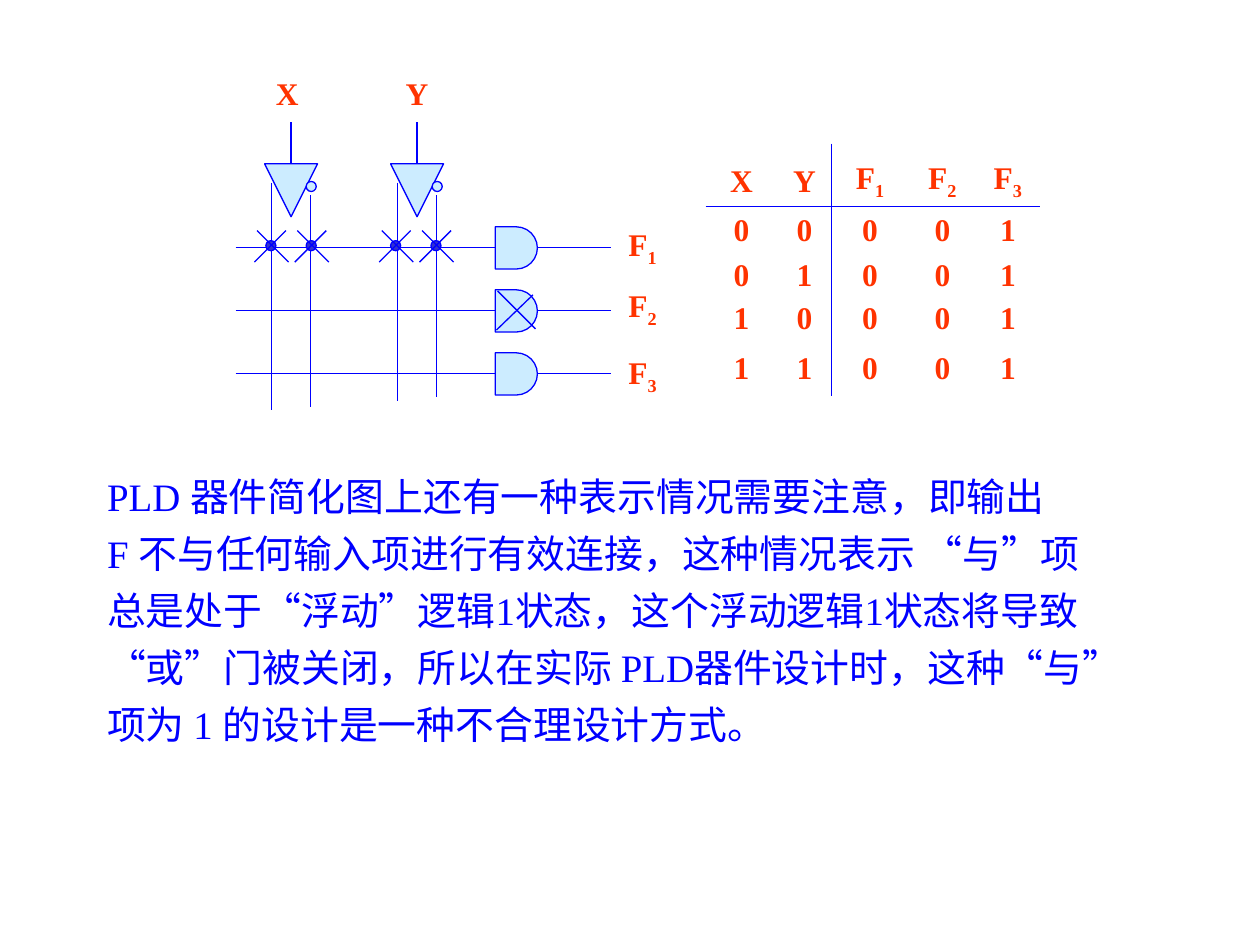
from dataclasses import dataclass

import pptx
import pptx.dml.color
import pptx.enum.shapes
import pptx.enum.text
import pptx.oxml.ns
import pptx.util
from lxml import etree

BLUE = pptx.dml.color.RGBColor(0x00, 0x00, 0xFF)
PALE_BLUE = pptx.dml.color.RGBColor(0xCC, 0xEC, 0xFF)
FUSE_BLUE = pptx.dml.color.RGBColor(0x33, 0x33, 0xCC)
RED = pptx.dml.color.RGBColor(0xFF, 0x33, 0x00)
SHAPE = pptx.enum.shapes.MSO_SHAPE
CENTER = pptx.enum.text.PP_ALIGN.CENTER
MIDDLE = pptx.enum.text.MSO_ANCHOR.MIDDLE

SLIDE_WIDTH = pptx.util.Inches(10)
SLIDE_HEIGHT = pptx.util.Inches(7.5)
GRID_COLUMNS, GRID_ROWS = 100, 75

LABEL_FORMAT = {"name": "Times New Roman", "size": pptx.util.Pt(18), "bold": True}
BODY_FORMAT = {"name": "Times New Roman", "size": pptx.util.Pt(22.2), "bold": False}
NO_MARGINS = dict.fromkeys(
    ("margin_left", "margin_right", "margin_top", "margin_bottom"), 0)


@dataclass(frozen=True)
class InputBuffer:
    name: str
    name_x: float
    left: float
    true_end: float
    complement_end: float
    fuses: tuple[float, float]


@dataclass(frozen=True)
class AndGate:
    name: str
    top: float
    name_y: float


BUFFERS = (
    InputBuffer("X", 22.8, 21, 32.5, 32.3, (21.5, 24.7)),
    InputBuffer("Y", 33.1, 31, 31.8, 31.5, (31.4, 34.6)),
)
GATES = (
    AndGate("F1", 18, 19.6),
    AndGate("F2", 23, 24.4),
    AndGate("F3", 28, 29.7),
)
TRUTH_TABLE = (
    ("X", "Y", "F1", "F2", "F3"),
    ("0", "0", "0", "0", "1"),
    ("0", "1", "0", "0", "1"),
    ("1", "0", "0", "0", "1"),
    ("1", "1", "0", "0", "1"),
)
TABLE_COLUMNS = (5.7, 4.3, 6.1, 5.4, 5.0)
TABLE_ROWS = (5.0, 3.8, 3.3, 3.6, 4.3)
TABLE_LEFT, TABLE_TOP = 56, 11.4
FUSE_ROW = 19.5
EXPLANATION = (
    "PLD 器件简化图上还有一种表示情况需要注意，即输出",
    "F 不与任何输入项进行有效连接，这种情况表示 “与”项",
    "总是处于“浮动”逻辑1状态，这个浮动逻辑1状态将导致",
    "“或”门被关闭，所以在实际 PLD器件设计时，这种“与”",
    "项为 1 的设计是一种不合理设计方式。",
)


def col(columns: float) -> int:
    return round(SLIDE_WIDTH * columns / GRID_COLUMNS)


def row(rows: float) -> int:
    return round(SLIDE_HEIGHT * rows / GRID_ROWS)


def apply_format(target, values: dict) -> None:
    for attribute, value in values.items():
        setattr(target, attribute, value)


def draw_line(slide, x1: float, y1: float, x2: float, y2: float) -> None:
    line = slide.shapes.add_connector(
        pptx.enum.shapes.MSO_CONNECTOR.STRAIGHT, col(x1), row(y1), col(x2), row(y2))
    line.line.color.rgb = BLUE
    line.line.width = pptx.util.Pt(0.75)
    etree.SubElement(line._element.spPr, pptx.oxml.ns.qn("a:effectLst"))


def draw_shape(slide, preset, left: float, top: float, size: float, fill) -> None:
    shape = slide.shapes.add_shape(preset, col(left), row(top), col(size), row(size))
    shape.shadow.inherit = False
    shape.fill.solid()
    shape.fill.fore_color.rgb = fill
    shape.line.color.rgb = BLUE
    shape.line.width = pptx.util.Pt(0.75)


def write_symbol(paragraph, symbol: str) -> None:
    """Write a signal name or value, with any digit after a letter as a subscript."""
    paragraph.alignment = CENTER
    for index, character in enumerate(symbol):
        run = paragraph.add_run()
        run.text = character
        apply_format(run.font, LABEL_FORMAT)
        run.font.color.rgb = RED
        if index:
            run._r.get_or_add_rPr().set("baseline", "-25000")


def draw_label(slide, name: str, center_x: float, center_y: float) -> None:
    width, height = 4.2, 4.0
    box = slide.shapes.add_textbox(
        col(center_x - width / 2), row(center_y - height / 2), col(width), row(height))
    apply_format(box.text_frame,
                 NO_MARGINS | {"word_wrap": False, "vertical_anchor": MIDDLE})
    write_symbol(box.text_frame.paragraphs[0], name)


def draw_fuse(slide, x: float) -> None:
    draw_shape(slide, SHAPE.OVAL, x - 0.4, FUSE_ROW - 0.4, 0.8, FUSE_BLUE)
    draw_line(slide, x - 1.1, FUSE_ROW - 1.2, x + 1.4, FUSE_ROW + 1.3)
    draw_line(slide, x + 1.2, FUSE_ROW - 1.2, x - 1.3, FUSE_ROW + 1.3)


def draw_buffer(slide, buffer: InputBuffer) -> None:
    left = buffer.left
    draw_shape(slide, SHAPE.FLOWCHART_MERGE, left, 13, 4.2, PALE_BLUE)
    draw_shape(slide, SHAPE.OVAL, left + 3.3, 14.4, 0.8, PALE_BLUE)
    draw_line(slide, left + 2.1, 13, left + 2.1, 9.7)
    draw_line(slide, left + 0.55, 14.5, left + 0.55, buffer.true_end)
    draw_line(slide, left + 3.65, 15.5, left + 3.65, buffer.complement_end)
    draw_label(slide, buffer.name, buffer.name_x, 7.4)


def draw_gate(slide, gate: AndGate) -> None:
    wire = gate.top + 1.67
    draw_shape(slide, SHAPE.FLOWCHART_DELAY, 39.3, gate.top, 3.35, PALE_BLUE)
    draw_line(slide, 18.7, wire, 39.3, wire)
    draw_line(slide, 42.7, wire, 48.5, wire)
    draw_label(slide, gate.name, 51, gate.name_y)


def draw_truth_table(slide) -> None:
    width, height = sum(TABLE_COLUMNS), sum(TABLE_ROWS)
    table = slide.shapes.add_table(
        len(TABLE_ROWS), len(TABLE_COLUMNS), col(TABLE_LEFT), row(TABLE_TOP),
        col(width), row(height)).table
    apply_format(table, {"first_row": False, "horz_banding": False})
    for table_column, share in zip(table.columns, TABLE_COLUMNS):
        table_column.width = col(share)
    for table_row, share, symbols in zip(table.rows, TABLE_ROWS, TRUTH_TABLE):
        table_row.height = row(share)
        for cell, symbol in zip(table_row.cells, symbols):
            apply_format(cell, NO_MARGINS | {"vertical_anchor": MIDDLE})
            cell.fill.background()
            write_symbol(cell.text_frame.paragraphs[0], symbol)
    for cell in table.rows[0].cells:
        cell.margin_top = row(1)
    header_line = TABLE_TOP + TABLE_ROWS[0]
    input_edge = TABLE_LEFT + sum(TABLE_COLUMNS[:2])
    draw_line(slide, TABLE_LEFT, header_line, TABLE_LEFT + width, header_line)
    draw_line(slide, input_edge, TABLE_TOP, input_edge, TABLE_TOP + height)


def write_explanation(slide) -> None:
    box = slide.shapes.add_textbox(col(8.5), row(36.7), col(83), row(23))
    apply_format(box.text_frame, NO_MARGINS | {"word_wrap": True})
    for index, sentence in enumerate(EXPLANATION):
        frame = box.text_frame
        paragraph = frame.add_paragraph() if index else frame.paragraphs[0]
        paragraph.line_spacing = pptx.util.Pt(32.6)
        run = paragraph.add_run()
        run.text = sentence
        apply_format(run.font, BODY_FORMAT)
        run.font.color.rgb = BLUE


def main() -> None:
    presentation = pptx.Presentation()
    apply_format(presentation,
                 {"slide_width": SLIDE_WIDTH, "slide_height": SLIDE_HEIGHT})
    slide = presentation.slides.add_slide(presentation.slide_layouts[6])
    write_explanation(slide)
    for buffer in BUFFERS:
        draw_buffer(slide, buffer)
    for gate in GATES:
        draw_gate(slide, gate)
    for buffer in BUFFERS:
        for fuse in buffer.fuses:
            draw_fuse(slide, fuse)
    draw_line(slide, 39.5, 23.1, 42.5, 26.1)
    draw_line(slide, 39.4, 26.2, 42.3, 23.4)
    draw_truth_table(slide)
    presentation.save("out.pptx")


if __name__ == "__main__":
    main()
